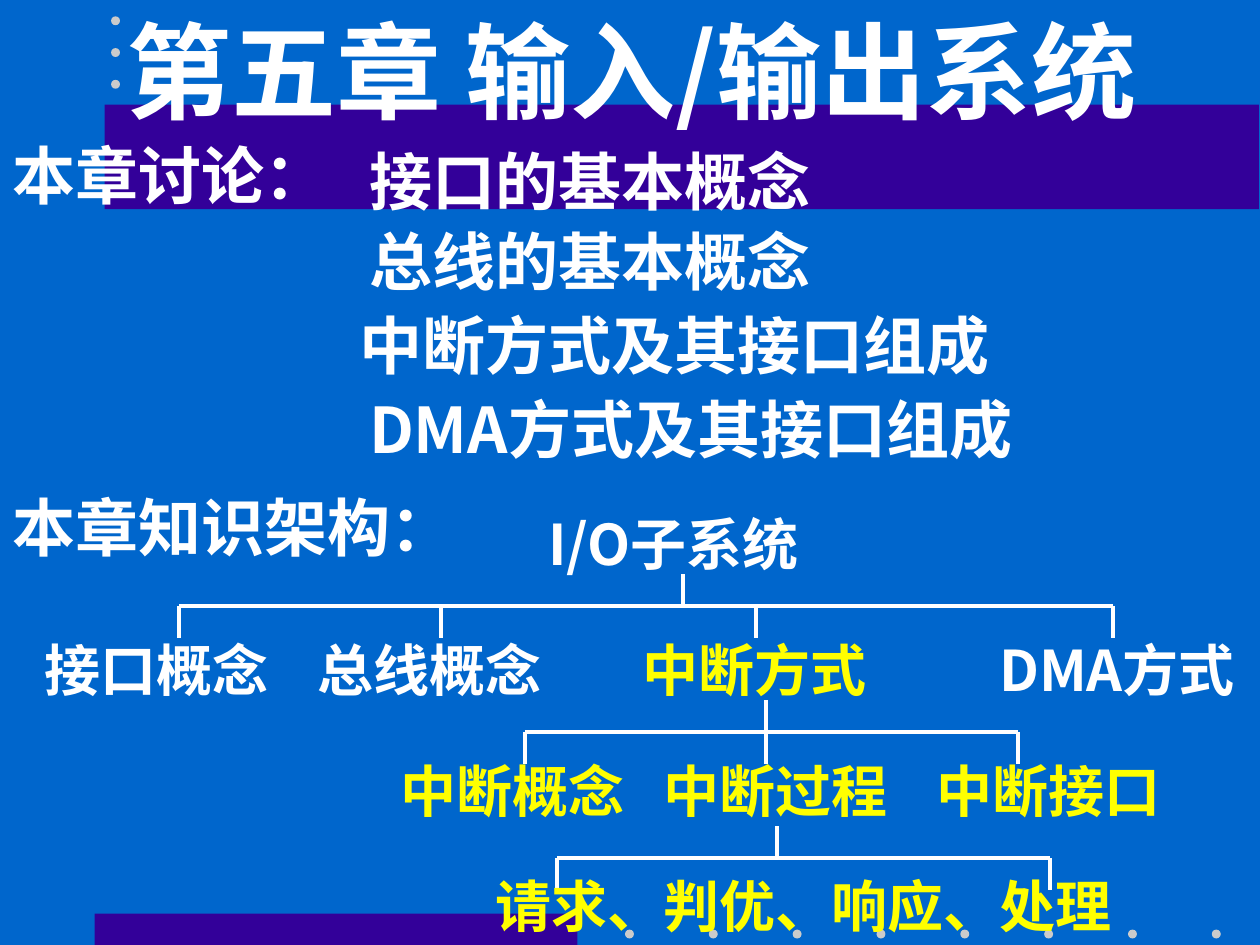
from lxml.etree import SubElement
from pptx import Presentation
from pptx.dml.color import RGBColor
from pptx.enum.shapes import MSO_CONNECTOR, MSO_SHAPE
from pptx.enum.text import MSO_AUTO_SIZE
from pptx.oxml.ns import qn
from pptx.util import Cm, Pt

COLORS = {"back": "0066CC", "band": "330099", "dot": "CBCBCB",
          "white": "FFFFFF", "yellow": "FFFF00"}
SANS, SERIF = "Noto Sans CJK SC", "Times New Roman"

# All lengths in cm
BANDS = [(1.91, 18.42, 9.73, 0.63), (2.11, 2.11, 23.27, 2.11)]
DOT = 0.18
DOTS = ([(12.6 + 1.69 * i, 18.74) for i in range(8)]
        + [(2.24, 0.33 + 0.64 * i) for i in range(3)])

# left, top, width, runs of (text, font)
TITLE = (2.31, 0, 23.06, [("第五章 输入/输出系统", SANS)])
TOPICS = [
    (0, 2.62, 8.69, [("本章讨论：", SERIF)]),
    (7.19, 2.74, 12.9, [("接口的基本概念", SERIF)]),
    (7.19, 4.37, 12.9, [("总线的基本概念", SERIF)]),
    (6.99, 6.05, 15.88, [("中断方式及其接口组成", SERIF)]),
    (7.19, 7.75, 15.67, [("DMA方式及其接口组成", SANS)]),
    (0, 9.73, 17.15, [("本章知识架构：", SERIF)]),
]

# top, line spacing, nodes of (left, width, color, runs)
LEVELS = [
    (10.52, 0.7, [(10.8, 9.09, "white", [("I/O", SANS), ("子系统", SERIF)])]),
    (13.06, 0.7, [
        (0.64, 5.92, "white", [("接口概念", SERIF)]),
        (6.15, 5.92, "white", [("总线概念", SERIF)]),
        (12.7, 6.15, "yellow", [("中断", SANS), ("方式", SERIF)]),
        (19.89, 6.15, "white", [("DMA", SANS), ("方式", SERIF)])]),
    (15.39, 0.8, [
        (7.82, 5.28, "yellow", [("中断概念", SERIF)]),
        (13.13, 5.08, "yellow", [("中断过程", SERIF)]),
        (18.62, 5.28, "yellow", [("中断接口", SERIF)])]),
    (17.7, 0.8, [(9.73, 13.54, "yellow", [("请求、判优、响应、处理", SERIF)])]),
]

# bar height, stem, drops
FORKS = [
    (12.22, 13.77, [3.61, 8.89, 15.24, 22.43]),
    (14.76, 15.44, [10.58, 15.44, 20.52]),
    (17.3, 15.67, [11.23, 21.16]),
]
DROP = 0.64


def rgb(key):
    return RGBColor.from_string(COLORS[key])


def shape(kind, box, key):
    form = slide.shapes.add_shape(kind, *map(Cm, box))
    form.shadow.inherit = False
    form.fill.solid()
    form.fill.fore_color.rgb = rgb(key)
    form.line.fill.background()


def label(left, top, width, runs, size, high, key="white", lead=None):
    box = slide.shapes.add_textbox(Cm(left), Cm(top), Cm(width), Cm(high))
    frame = box.text_frame
    frame.word_wrap = True
    frame.auto_size = MSO_AUTO_SIZE.SHAPE_TO_FIT_TEXT
    para = frame.paragraphs[0]
    if lead:
        para.line_spacing = lead
    font = para.font
    font.size, font.bold, font.name = Pt(size), True, runs[0][1]
    font.color.rgb = rgb(key)
    # East Asian glyphs take their own typeface
    base = para._p.pPr.find(qn("a:defRPr"))
    SubElement(base, qn("a:ea")).set("typeface", SANS)
    for text, name in runs:
        run = para.add_run()
        run.text = text
        if len(runs) > 1:
            run.font.name = name


def line(*ends):
    wire = slide.shapes.add_connector(MSO_CONNECTOR.STRAIGHT, *map(Cm, ends))
    wire.line.color.rgb = rgb("white")
    wire.line.width = Pt(2.25)
    SubElement(wire._element.spPr, qn("a:effectLst"))


def fork(bar, stem, drops):
    """Draw a stem down to a bar, and a drop from the bar to each child."""
    line(stem, bar - DROP, stem, bar)
    line(drops[0], bar, drops[-1], bar)
    for x in drops:
        line(x, bar, x, bar + DROP)


deck = Presentation()
deck.slide_width, deck.slide_height = Cm(25.4), Cm(19.05)
slide = deck.slides.add_slide(deck.slide_layouts[6])
slide.background.fill.solid()
slide.background.fill.fore_color.rgb = rgb("back")

for band in BANDS:
    shape(MSO_SHAPE.RECTANGLE, band, "band")
for x, y in DOTS:
    shape(MSO_SHAPE.OVAL, (x, y, DOT, DOT), "dot")

label(*TITLE, 60, 2.79)
for topic in TOPICS:
    label(*topic, 36, 1.78)

for parts in FORKS:
    fork(*parts)
for top, lead, nodes in LEVELS:
    for left, width, key, runs in nodes:
        label(left, top, width, runs, 32, 1.22 if lead == 0.7 else 1.35,
              key, lead)

deck.save("out.pptx")
